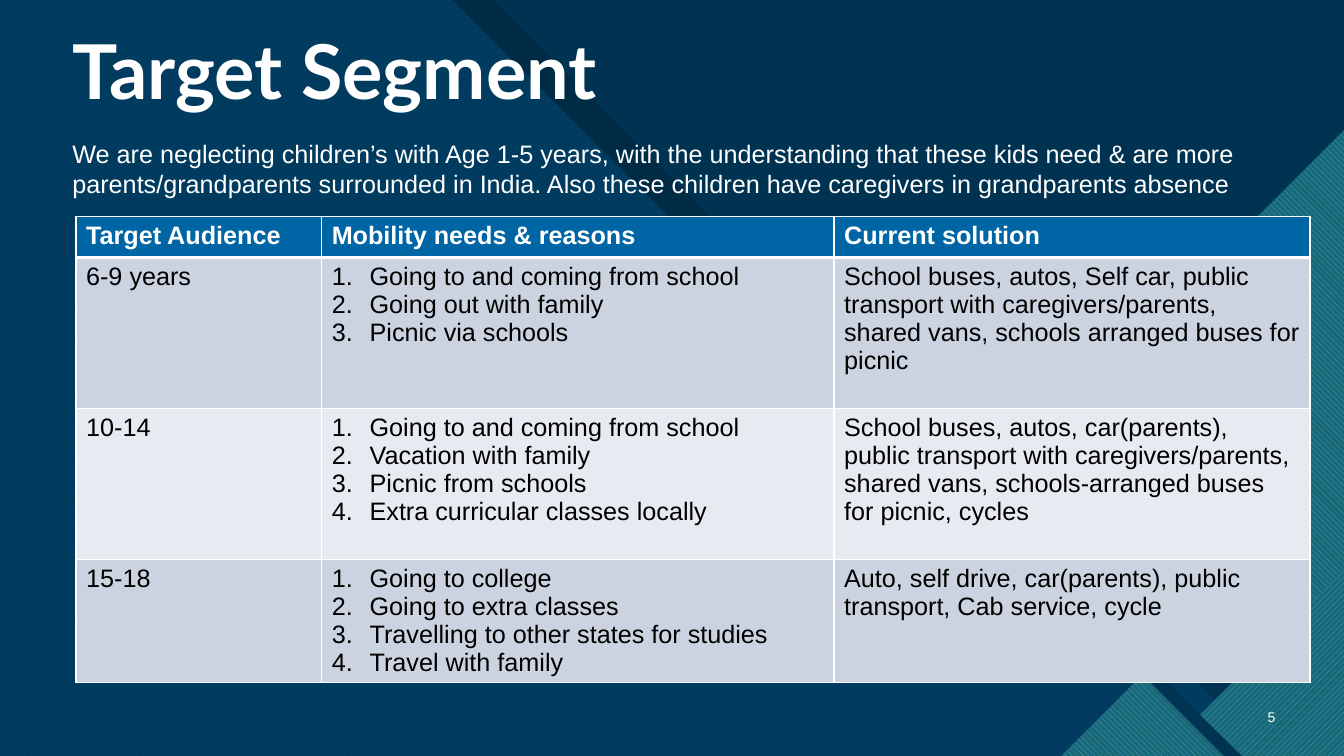
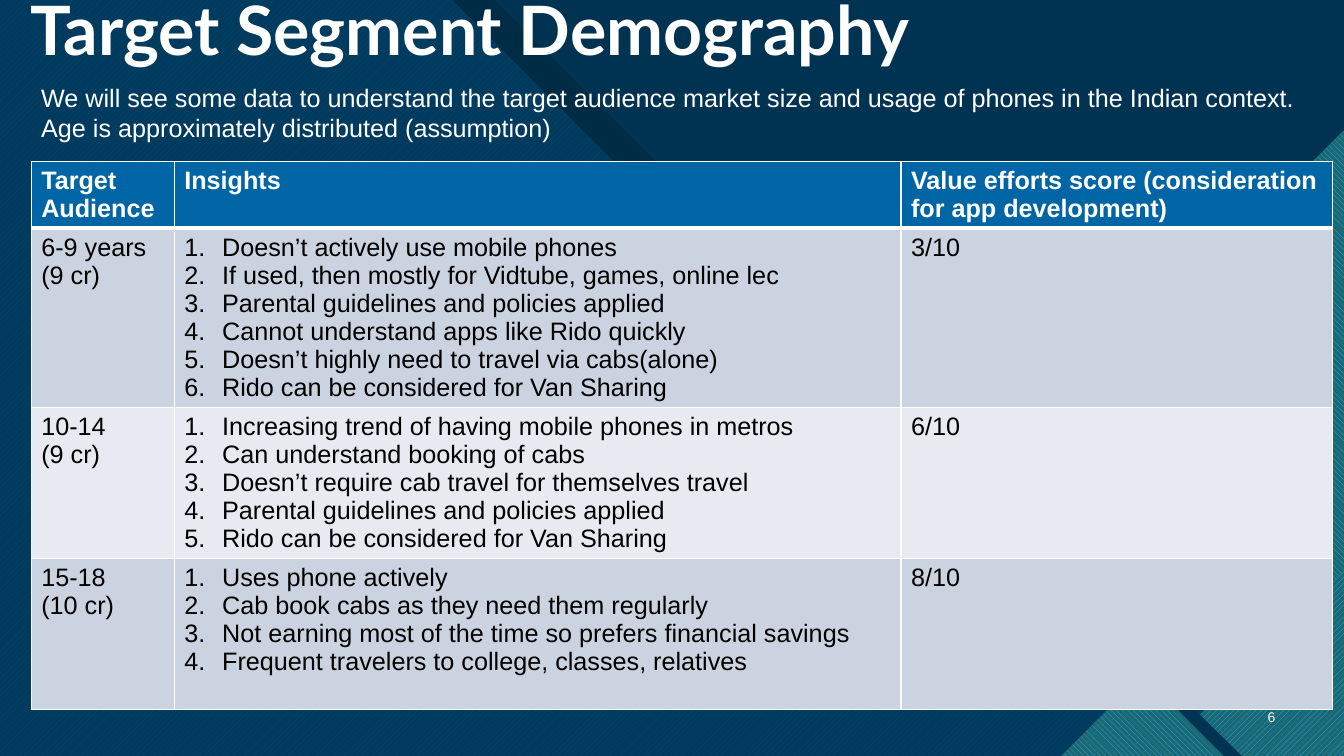
"""Build two slides on the target segment of a ride service for children."""

from dataclasses import dataclass

from lxml import etree
from pptx import Presentation
from pptx.dml.color import RGBColor
from pptx.enum.dml import MSO_PATTERN
from pptx.enum.text import MSO_ANCHOR, MSO_AUTO_SIZE, PP_ALIGN
from pptx.oxml.ns import qn
from pptx.shapes.autoshape import Shape
from pptx.slide import Slide, SlideLayout
from pptx.table import Table, _Cell
from pptx.text.text import TextFrame, _Paragraph
from pptx.util import Length, Pt

UP_STRIPES = MSO_PATTERN.WIDE_UPWARD_DIAGONAL
DOWN_STRIPES = MSO_PATTERN.WIDE_DOWNWARD_DIAGONAL
MIDDLE = MSO_ANCHOR.MIDDLE
BOTTOM = MSO_ANCHOR.BOTTOM
LEFT, RIGHT = PP_ALIGN.LEFT, PP_ALIGN.RIGHT
NO_AUTOFIT = MSO_AUTO_SIZE.NONE

NAVY, BLACK, WHITE = "003352", "000000", "FFFFFF"
TEAL, CYAN, SKY, BLUE = "1B6872", "47C3D3", "2FAFFF", "0065A4"
ROW_FILLS = ("CCD3E0", "E7EAF0")
TITLE_FONT, BODY_FONT = "Lato", "Arial"
SLIDE_WIDTH, SLIDE_HEIGHT = 960, 540
LINE_HEIGHT, CELL_PADDING, MIN_ROW_HEIGHT = 20.1, 7.4, 29.25
NUMBER_INDENT = 27
TITLE_ONLY = 5

Points = list[tuple[float, float]]
Box = tuple[float, float, float, float]


@dataclass(frozen=True)
class Panel:
    """A background polygon, plain or striped."""

    points: Points
    color: str
    stripes: MSO_PATTERN | None = None
    back_color: str = TEAL
    opacity: int = 100


@dataclass(frozen=True)
class AudienceRow:
    """One table row; needs are numbered, lines sets the height."""

    audience: list[str]
    needs: list[str]
    outcome: str
    lines: int


@dataclass(frozen=True)
class SegmentSlide:
    """Everything that differs between the slides."""

    number: int
    title: str
    title_box: Box
    title_size: float
    intro: str
    intro_box: Box
    table_origin: tuple[float, float]
    column_widths: tuple[float, float, float]
    headings: tuple[str, str, str]
    heading_lines: int
    rows: list[AudienceRow]


def folded_edge(start: float) -> Points:
    """Return the area left of an edge that steps down to the right."""
    ledge = start + 305
    descent = min(SLIDE_WIDTH - ledge, SLIDE_HEIGHT - 214)
    end = (ledge + descent, 214 + descent)
    return [(0, 0), (start, 0), (start + 214, 214), (ledge, 214), end,
            (end[0], SLIDE_HEIGHT), (0, SLIDE_HEIGHT)]


PANELS = [
    Panel(folded_edge(353), BLACK),
    Panel(folded_edge(323), CYAN, UP_STRIPES, BLUE),
    Panel(folded_edge(500), NAVY, opacity=85),
    Panel([(960, 112), (960, 510), (878, 510), (720, 351)], NAVY),
    Panel([(960, 93), (960, 531), (940, 531), (731, 322)], SKY, DOWN_STRIPES),
    Panel([(960, 442), (960, 540), (862, 540)], NAVY),
    Panel([(960, 408), (960, 540), (828, 540)], SKY, UP_STRIPES),
    Panel([(887, 540), (828, 482), (770, 540)], NAVY),
    Panel([(758, 540), (816, 482), (874, 540)], SKY, DOWN_STRIPES),
]

SLIDES = [
    SegmentSlide(
        number=5,
        title="Target Segment",
        title_box=(44.6, 18.7, 612.7, 67.7),
        title_size=54,
        intro="We are neglecting children’s with Age 1-5 years, with the understanding that "
              "these kids need & are more parents/grandparents surrounded in India. Also these "
              "children have caregivers in grandparents absence",
        intro_box=(44.6, 95, 858.2, 51),
        table_origin=(54.3, 154.6),
        column_widths=(175.5, 366, 340),
        headings=("Target Audience", "Mobility needs & reasons", "Current solution"),
        heading_lines=1,
        rows=[
            AudienceRow(
                ["6-9 years"],
                ["Going to and coming from school", "Going out with family",
                 "Picnic via schools"],
                "School buses, autos, Self car, public transport with caregivers/parents, "
                "shared vans, schools arranged buses for picnic", 5),
            AudienceRow(
                ["10-14"],
                ["Going to and coming from school", "Vacation with family",
                 "Picnic from schools", "Extra curricular classes locally"],
                "School buses, autos, car(parents), public transport with caregivers/parents, "
                "shared vans, schools-arranged buses for picnic, cycles", 5),
            AudienceRow(
                ["15-18"],
                ["Going to college", "Going to extra classes",
                 "Travelling to other states for studies", "Travel with family"],
                "Auto, self drive, car(parents), public transport, Cab service, cycle", 4),
        ],
    ),
    SegmentSlide(
        number=6,
        title="Target Segment Demography",
        title_box=(14.4, 9.4, 769.7, 44.6),
        title_size=48.6,
        intro="We will see some data to understand the target audience market size and usage "
              "of phones in the Indian context. Age is approximately distributed (assumption)",
        intro_box=(22.3, 55.4, 915.8, 51),
        table_origin=(22.3, 115.5),
        column_widths=(102.2, 519.1, 308.2),
        headings=("Target Audience", "Insights",
                  "Value efforts score (consideration for app development)"),
        heading_lines=2,
        rows=[
            AudienceRow(
                ["6-9 years", "(9 cr)"],
                ["Doesn’t actively use mobile phones",
                 "If used, then mostly for Vidtube, games, online lec",
                 "Parental guidelines and policies applied",
                 "Cannot understand apps like Rido quickly",
                 "Doesn’t highly need to travel via cabs(alone)",
                 "Rido can be considered for Van Sharing"],
                "3/10", 6),
            AudienceRow(
                ["10-14", "(9 cr)"],
                ["Increasing trend of having mobile phones in metros",
                 "Can understand booking of cabs",
                 "Doesn’t require cab travel for themselves travel",
                 "Parental guidelines and policies applied",
                 "Rido can be considered for Van Sharing"],
                "6/10", 5),
            AudienceRow(
                ["15-18", "(10 cr)"],
                ["Uses phone actively", "Cab book cabs as they need them regularly",
                 "Not earning most of the time so prefers financial savings",
                 "Frequent travelers to college, classes, relatives"],
                "8/10", 5),
        ],
    ),
]


def rgb(color: str) -> RGBColor:
    """Turn a hex string into a colour."""
    return RGBColor.from_string(color)


def number_paragraph(paragraph: _Paragraph) -> None:
    """Give a paragraph automatic numbering with a hanging indent."""
    properties = paragraph._p.get_or_add_pPr()
    properties.set("marL", str(Pt(NUMBER_INDENT)))
    properties.set("indent", str(-Pt(NUMBER_INDENT)))
    etree.SubElement(properties, qn("a:buAutoNum"), type="arabicPeriod")


def write_text(frame: TextFrame, lines: list[str], *, size: float = 18, color: str = WHITE,
               font: str = BODY_FONT, bold: bool = False, align: PP_ALIGN | None = None,
               spacing: float | Length | None = None, numbered: bool = False) -> None:
    """Write one formatted paragraph per line."""
    for index, line in enumerate(lines):
        paragraph = frame.add_paragraph() if index else frame.paragraphs[0]
        paragraph.alignment = align
        paragraph.line_spacing = spacing
        if numbered:
            number_paragraph(paragraph)
        run = paragraph.add_run()
        run.text = line
        run.font.size, run.font.name, run.font.bold = Pt(size), font, bold
        run.font.color.rgb = rgb(color)


def draw_panel(slide: Slide, panel: Panel) -> Shape:
    """Draw one background polygon."""
    corners = [(Pt(x), Pt(y)) for x, y in panel.points]
    builder = slide.shapes.build_freeform(*corners[0])
    builder.add_line_segments(corners[1:], close=True)
    shape = builder.convert_to_shape()
    shape.shadow.inherit = False
    shape.line.fill.background()
    if panel.stripes is None:
        shape.fill.solid()
    else:
        shape.fill.patterned()
        shape.fill.pattern = panel.stripes
        shape.fill.back_color.rgb = rgb(panel.back_color)
    shape.fill.fore_color.rgb = rgb(panel.color)
    if panel.opacity < 100:
        color = shape.element.xpath("./p:spPr/a:solidFill/a:srgbClr")[0]
        etree.SubElement(color, qn("a:alpha"), val=str(panel.opacity * 1000))
    return shape


def decorate_layout(layout: SlideLayout, slide: Slide) -> None:
    """Draw the shared background and move it behind the layout's placeholders."""
    layout.background.fill.solid()
    layout.background.fill.fore_color.rgb = rgb(NAVY)
    for index, panel in enumerate(PANELS):
        element = draw_panel(slide, panel).element
        element.xpath("./p:nvSpPr/p:cNvPr")[0].set("id", str(100 + index))
        layout.shapes.element.insert(2 + index, element)


def place_title(slide: Slide, content: SegmentSlide) -> None:
    """Move and format the title placeholder."""
    title = slide.shapes.title
    title.left, title.top, title.width, title.height = map(Pt, content.title_box)
    frame = title.text_frame
    frame.auto_size, frame.word_wrap, frame.vertical_anchor = NO_AUTOFIT, True, BOTTOM
    write_text(frame, [content.title], size=content.title_size, font=TITLE_FONT,
               bold=True, align=LEFT, spacing=0.9)


def add_text_box(slide: Slide, box: Box, text: str, **text_format) -> TextFrame:
    """Add a wrapping text box."""
    frame = slide.shapes.add_textbox(*map(Pt, box)).text_frame
    frame.word_wrap = True
    write_text(frame, [text], **text_format)
    return frame


def style_cell(cell: _Cell, fill: str, top: float, bottom: float) -> None:
    """Set white borders and a solid fill."""
    properties = cell._tc.get_or_add_tcPr()
    for side, width in (("L", 1), ("R", 1), ("T", top), ("B", bottom)):
        border = etree.SubElement(properties, qn(f"a:ln{side}"), w=str(Pt(width)))
        solid = etree.SubElement(border, qn("a:solidFill"))
        etree.SubElement(solid, qn("a:srgbClr"), val=WHITE)
    cell.fill.solid()
    cell.fill.fore_color.rgb = rgb(fill)


def fill_table(table: Table, content: SegmentSlide) -> None:
    """Write and style the heading row and the audience rows."""
    spacing = Pt(LINE_HEIGHT)
    for column, heading in enumerate(content.headings):
        cell = table.cell(0, column)
        style_cell(cell, BLUE, top=1, bottom=3)
        write_text(cell.text_frame, [heading], bold=True, spacing=spacing)
    for index, row in enumerate(content.rows):
        for column, lines in enumerate((row.audience, row.needs, [row.outcome])):
            cell = table.cell(index + 1, column)
            style_cell(cell, ROW_FILLS[index % 2], top=1 if index else 3, bottom=1)
            write_text(cell.text_frame, lines, color=BLACK, spacing=spacing,
                       numbered=column == 1)


def add_audience_table(slide: Slide, content: SegmentSlide) -> None:
    """Add the table with heights that follow the line counts."""
    line_counts = [content.heading_lines] + [row.lines for row in content.rows]
    heights = [max(MIN_ROW_HEIGHT, count * LINE_HEIGHT + CELL_PADDING) for count in line_counts]
    left, top = content.table_origin
    table = slide.shapes.add_table(len(heights), len(content.column_widths), Pt(left), Pt(top),
                                   Pt(sum(content.column_widths)), Pt(sum(heights))).table
    for column, width in zip(table.columns, content.column_widths):
        column.width = Pt(width)
    for row, height in zip(table.rows, heights):
        row.height = Pt(height)
    fill_table(table, content)


def main() -> None:
    """Build and save the presentation."""
    presentation = Presentation()
    presentation.slide_width, presentation.slide_height = Pt(SLIDE_WIDTH), Pt(SLIDE_HEIGHT)
    layout = presentation.slide_layouts[TITLE_ONLY]
    for index, content in enumerate(SLIDES):
        slide = presentation.slides.add_slide(layout)
        if index == 0:
            decorate_layout(layout, slide)
        place_title(slide, content)
        add_audience_table(slide, content)
        add_text_box(slide, content.intro_box, content.intro)
        number = add_text_box(slide, (886.3, 497.5, 31.7, 28.8), str(content.number),
                              size=10, align=RIGHT)
        number.vertical_anchor = MIDDLE
    presentation.save("out.pptx")


if __name__ == "__main__":
    main()
